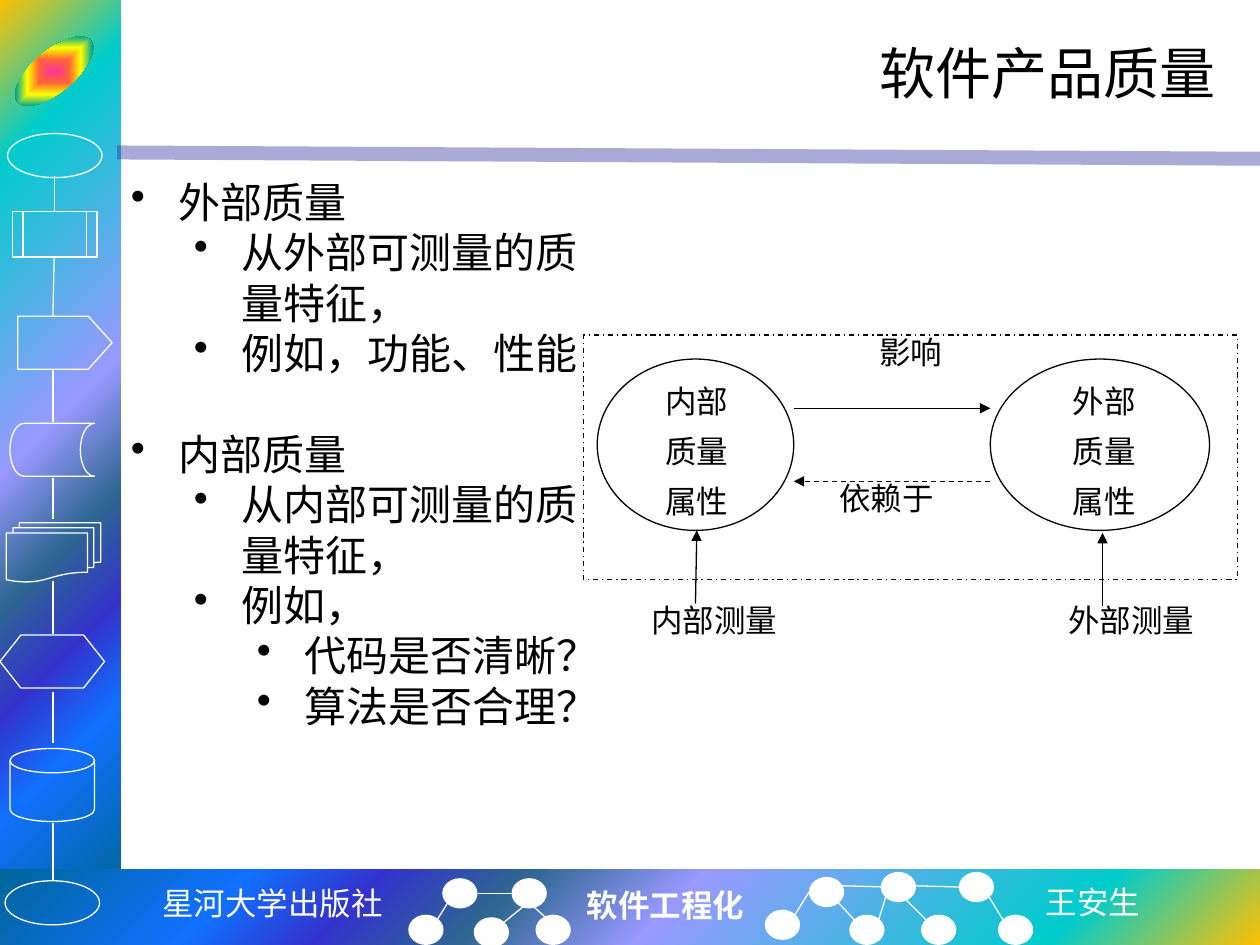
import pptx
import pptx.util
import pptx.dml.color
import pptx.enum.dml
import pptx.enum.shapes
import pptx.enum.text
import pptx.oxml
import pptx.oxml.ns
from lxml import etree

Inches, Pt = pptx.util.Inches, pptx.util.Pt
SHAPE = pptx.enum.shapes.MSO_SHAPE
ALIGN = pptx.enum.text.PP_ALIGN
ANCHOR = pptx.enum.text.MSO_ANCHOR
DASH = pptx.enum.dml.MSO_LINE
qn = pptx.oxml.ns.qn

COLORS = {"white": "FFFFFF", "black": "000000", "rule": "262699"}
BAND_STOPS = [(0, "FFC000"), (16, "00CCCC"), (47, "9999FF"), (60, "2E6792"),
              (71, "3333CC"), (81, "1170FF"), (100, "006699")]
BADGE_STOPS = [(0, "FF3399"), (25, "FF6633"), (50, "FFFF00"),
               (75, "01A78F"), (100, "3366FF")]
SERIF = "Times New Roman"


class SlideBuilder:
    """Holds the style and the current slide."""

    def __init__(self, slide):
        self.slide = slide

    def color(self, name):
        """Return the named colour."""
        return pptx.dml.color.RGBColor.from_string(COLORS[name])

    def shape(self, kind, box, line=None, fill=None, dash=None):
        """Add a preset shape with a flat or no fill."""
        shape = self.slide.shapes.add_shape(kind, *map(Inches, box))
        shape.shadow.inherit = False
        if fill:
            shape.fill.solid()
            shape.fill.fore_color.rgb = self.color(fill)
        else:
            shape.fill.background()
        if line:
            self.stroke(shape.line, line, 0.75, dash)
        else:
            shape.line.fill.background()
        return shape

    def stroke(self, line, color, width, dash=None):
        """Set colour, width and dash of a line."""
        line.color.rgb = self.color(color)
        line.width = Pt(width)
        if dash:
            line.dash_style = dash

    def gradient(self, shape, stops, kind, center):
        """Fill a shape with a gradient that spreads from a centre."""
        items = "".join(f'<a:gs pos="{pos * 1000}"><a:srgbClr val="{color}"/></a:gs>'
                        for pos, color in stops)
        sides = " ".join(f'{side}="{value * 1000}"' for side, value in zip("ltrb", center))
        xml = (f'<a:gradFill {pptx.oxml.ns.nsdecls("a")} rotWithShape="1"><a:gsLst>{items}'
               f'</a:gsLst><a:path path="{kind}"><a:fillToRect {sides}/></a:path></a:gradFill>')
        old = shape.fill._xPr.find(qn("a:noFill"))
        old.getparent().replace(old, pptx.oxml.parse_xml(xml))

    def line(self, start, end, color, width=0.75, dash=None, arrow=False, alpha=None):
        """Add a straight line, optionally with an arrowhead or transparency."""
        line = self.slide.shapes.add_connector(
            pptx.enum.shapes.MSO_CONNECTOR.STRAIGHT, *map(Inches, (*start, *end)))
        self.stroke(line.line, color, width, dash)
        properties = line._element.spPr
        if arrow:
            etree.SubElement(properties.find(qn("a:ln")), qn("a:tailEnd"), type="triangle")
        if alpha:
            tint = next(properties.iter(qn("a:srgbClr")))
            etree.SubElement(tint, qn("a:alpha"), val=str(alpha * 1000))
        etree.SubElement(properties, qn("a:effectLst"))

    def text_box(self, box, wrap=True, anchor=ANCHOR.TOP):
        """Add an empty text box and return its frame."""
        frame = self.slide.shapes.add_textbox(*map(Inches, box)).text_frame
        frame.word_wrap = wrap
        frame.vertical_anchor = anchor
        return frame

    def paragraph(self, frame, text, size, align=ALIGN.LEFT, color="black",
                  font=SERIF, bold=False):
        """Write a paragraph, using the first one while it is empty."""
        first = frame.paragraphs[0]
        item = first if not first.runs else frame.add_paragraph()
        item.add_run().text = text
        item.alignment = align
        item.font.size, item.font.bold, item.font.name = Pt(size), bold, font
        item.font.color.rgb = self.color(color)
        return item

    def indent(self, item, margin, first):
        """Set left margin and first-line indent."""
        properties = item._p.get_or_add_pPr()
        properties.set("marL", str(Inches(margin)))
        properties.set("indent", str(Inches(first)))

    def labels(self, frame, texts, align=ALIGN.CENTER):
        """Write the diagram's labels with their fixed line spacing."""
        for text in texts:
            item = self.paragraph(frame, text, 18, align)
            item.line_spacing, item.space_before = Pt(16.6), Pt(12)
            self.indent(item, 0, 0.3)

    def bullet(self, frame, text, level, gap=0):
        """Write a bulleted paragraph at a level."""
        item = self.paragraph(frame, text, 24)
        item.level, item.space_before = level, Pt(gap)
        self.indent(item, 0.38 + level * 0.5, -0.38)
        etree.SubElement(item._p.pPr, qn("a:buChar"), char="•")
        properties = item._p.pPr
        properties.insert(list(properties).index(properties.find(qn("a:defRPr"))),
                          properties.find(qn("a:buChar")))


def draw_bands(page):
    """Draw the coloured bands and the rule under the title."""
    for box, center in [((0, 0, 0.96, 7.09), (0, 0, 100, 100)),
                        ((0, 6.9, 10, 0.6), (100, 100, 0, 0))]:
        page.gradient(page.shape(SHAPE.RECTANGLE, box), BAND_STOPS, "circle", center)
    page.line((0.93, 1.21), (10, 1.26), "rule", 8, alpha=39)


def draw_flowchart(page):
    """Draw the flowchart symbols in the side band."""
    for kind, box in [
            (SHAPE.OVAL, (0.06, 1.06, 0.75, 0.35)),
            (SHAPE.FLOWCHART_PREDEFINED_PROCESS, (0.1, 1.68, 0.67, 0.36)),
            (SHAPE.FLOWCHART_STORED_DATA, (0.08, 3.36, 0.67, 0.42)),
            (SHAPE.FLOWCHART_MULTIDOCUMENT, (0.05, 4.15, 0.75, 0.47)),
            (SHAPE.FLOWCHART_PREPARATION, (0, 5.04, 0.83, 0.42)),
            (SHAPE.FLOWCHART_MAGNETIC_DISK, (0.08, 5.94, 0.67, 0.58)),
            (SHAPE.OVAL, (0.04, 6.99, 0.75, 0.35))]:
        page.shape(kind, box, "white")
    page.shape(SHAPE.PENTAGON, (0.14, 2.51, 0.75, 0.42), "white").adjustments[0] = 0.45
    for top, bottom in [(1.4, 1.68), (2.05, 2.51), (2.93, 3.35), (3.79, 4.12),
                        (4.61, 5.03), (5.49, 5.9), (6.53, 6.99)]:
        page.line((0.43 if top < 2.5 else 0.42, top),
                  (0.43 if top < 2 else 0.42, bottom), "white")
    badge = page.shape(SHAPE.OVAL, (0.05, 0.4, 0.76, 0.33))
    badge.rotation = -40
    page.gradient(badge, BADGE_STOPS, "rect", (50, 50, 50, 50))


def draw_footer(page):
    """Draw the footer's texts and node networks."""
    for text, box, font, bold in [
            ("星河大学出版社", (1.19, 6.97, 1.97, 0.4), "Courier New", False),
            ("软件工程化", (4.56, 6.98, 1.46, 0.4), SERIF, True),
            ("王安生", (8.2, 6.96, 0.96, 0.4), "Noto Sans CJK SC", False)]:
        page.paragraph(page.text_box(box, wrap=False), text, 18,
                       color="white", font=font, bold=bold)
    for node in [(3.51, 6.97), (4.06, 6.97), (3.24, 7.26), (3.76, 7.28), (4.25, 7.26),
                 (6.07, 7.22), (6.42, 6.96), (6.74, 7.26), (6.99, 6.92), (7.31, 7.26),
                 (7.61, 6.92), (7.92, 7.26)]:
        page.shape(SHAPE.OVAL, (*node, 0.28, 0.24), fill="white")
    for x1, y1, x2, y2 in [
            (3.47, 7.3, 3.55, 7.17), (4, 7.32, 4.16, 7.19), (4.06, 7.09, 3.79, 7.09),
            (4.34, 7.29, 4.24, 7.2), (6.31, 7.26, 6.42, 7.08), (6.78, 7.3, 6.65, 7.16),
            (6.68, 7.03, 7.03, 7.04), (6.97, 7.31, 7.03, 7.12), (7.35, 7.3, 7.15, 7.1),
            (7.26, 7.03, 7.61, 7.04), (7.96, 7.3, 7.85, 7.12)]:
        page.line((x1, y1), (x2, y2), "white")


def draw_diagram(page):
    """Draw the two quality attributes and how they relate."""
    for side, box, align, right_inset in [
            ("内部", (4.74, 2.85, 1.56, 1.36), ALIGN.CENTER, 0.28),
            ("外部", (7.86, 2.85, 1.74, 1.36), ALIGN.JUSTIFY, 0.1)]:
        frame = page.shape(SHAPE.OVAL, box, "black").text_frame
        frame.vertical_anchor = ANCHOR.TOP
        frame.margin_left = Inches(0 if side == "内部" else 0.1)
        frame.margin_right = Inches(right_inset)
        page.labels(frame, [side, "质量", "属性"], align)
    for text, box in [("依赖于", (5.91, 3.82, 1.95, 0.58)), ("影响", (6.3, 2.66, 1.56, 0.58)),
                      ("内部测量", (4.74, 4.79, 1.56, 0.78)),
                      ("外部测量", (8.05, 4.79, 1.56, 0.78))]:
        page.labels(page.text_box(box), [text])
    for start, end, dash in [((6.3, 3.24), (7.86, 3.24), None),
                             ((7.86, 3.82), (6.3, 3.82), DASH.DASH),
                             ((5.52, 4.79), (5.53, 4.21), None),
                             ((8.75, 4.81), (8.75, 4.23), None)]:
        page.line(start, end, "black", dash=dash, arrow=True)
    page.shape(SHAPE.RECTANGLE, (4.63, 2.66, 5.19, 1.94), "black", dash=DASH.DASH_DOT)


def draw_content(page):
    """Write the title and the bulleted list."""
    title = page.text_box((1.25, 0.17, 8.5, 0.81), anchor=ANCHOR.MIDDLE)
    page.paragraph(title, "软件产品质量", 32, ALIGN.RIGHT)
    outline = page.text_box((0.94, 1.35, 3.92, 4.95))
    for text, level, gap in [
            ("外部质量", 0, 0), ("从外部可测量的质量特征，", 1, 0), ("例如，功能、性能", 1, 0),
            ("内部质量", 0, 28.8), ("从内部可测量的质量特征，", 1, 0), ("例如，", 1, 0),
            ("代码是否清晰？", 2, 0), ("算法是否合理？", 2, 0)]:
        page.bullet(outline, text, level, gap)


deck = pptx.Presentation()
deck.slide_width, deck.slide_height = Inches(10), Inches(7.5)
quality_page = SlideBuilder(deck.slides.add_slide(deck.slide_layouts[6]))
for draw in (draw_bands, draw_flowchart, draw_footer, draw_content, draw_diagram):
    draw(quality_page)
deck.save("out.pptx")
